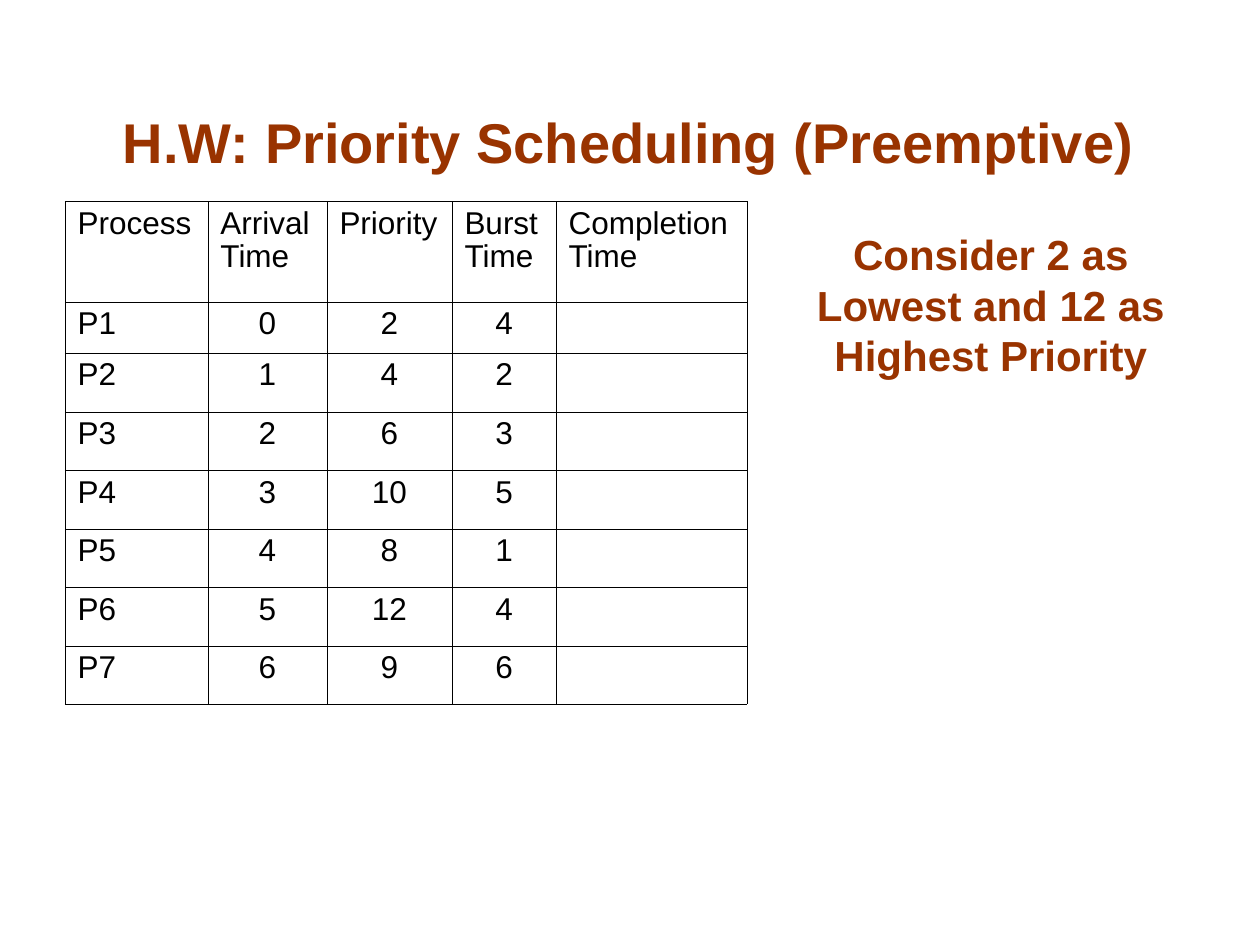
"""Build a homework slide on preemptive priority scheduling."""
from lxml.etree import fromstring
from pptx import Presentation
from pptx.dml.color import RGBColor
from pptx.enum.text import MSO_ANCHOR, PP_ALIGN
from pptx.oxml.ns import nsdecls
from pptx.util import Cm, Pt

RUST = RGBColor(0x99, 0x33, 0x00)
BLACK = RGBColor(0x00, 0x00, 0x00)
FONT = "Arial"

TEXTS = [
    ("H.W: Priority Scheduling (Preemptive)", 32, (1.88, 1.85, 21.59, 1.8)),
    ("Consider 2 as Lowest and 12 as Highest Priority", 24, (15.44, 4.01, 9.07, 3.78)),
]
HEADS = ["Process", "Arrival Time", "Priority", "Burst Time", "Completion Time"]
JOBS = [
    ("P1", 0, 2, 4),
    ("P2", 1, 4, 2),
    ("P3", 2, 6, 3),
    ("P4", 3, 10, 5),
    ("P5", 4, 8, 1),
    ("P6", 5, 12, 4),
    ("P7", 6, 9, 6),
]
LEFT, TOP = 1.31, 4.06
WIDTHS = [2.88, 2.4, 2.52, 2.1, 3.85]
HEIGHTS = [2.03, 1.03] + [1.18] * 6


def style(para, size, color, bold=False):
    font = para.font
    font.name, font.size, font.bold = FONT, Pt(size), bold
    font.color.rgb = color


def add_text(slide, text, size, place):
    frame = slide.shapes.add_textbox(*map(Cm, place)).text_frame
    frame.word_wrap = True
    frame.vertical_anchor = MSO_ANCHOR.BOTTOM
    para = frame.paragraphs[0]
    para.text = text
    para.alignment = PP_ALIGN.CENTER
    style(para, size, RUST, True)


def add_edges(cell):
    props = cell._tc.get_or_add_tcPr()
    for spot, side in enumerate("LRTB"):
        props.insert(spot, fromstring(
            f'<a:ln{side} {nsdecls("a")} w="{Pt(0.11)}"><a:solidFill>'
            f'<a:srgbClr val="{BLACK}"/></a:solidFill></a:ln{side}>'))


def add_grid(slide):
    rows = [HEADS] + [(*job, "") for job in JOBS]
    place = map(Cm, (LEFT, TOP, sum(WIDTHS), sum(HEIGHTS)))
    table = slide.shapes.add_table(len(rows), len(HEADS), *place).table
    table.first_row = table.horz_banding = False
    for col, width in zip(table.columns, WIDTHS):
        col.width = Cm(width)
    for row, height in zip(table.rows, HEIGHTS):
        row.height = Cm(height)
    for r, row in enumerate(rows):
        for c, value in enumerate(row):
            cell = table.cell(r, c)
            cell.fill.background()
            add_edges(cell)
            para = cell.text_frame.paragraphs[0]
            para.text = str(value)
            para.line_spacing = 0.94
            para.alignment = PP_ALIGN.CENTER if r and c else PP_ALIGN.LEFT
            style(para, 18, BLACK)


def main():
    deck = Presentation()
    deck.slide_width, deck.slide_height = Cm(25.4), Cm(19.05)
    slide = deck.slides.add_slide(deck.slide_layouts[6])
    title, note = TEXTS
    add_text(slide, *title)
    add_grid(slide)
    add_text(slide, *note)
    deck.save("out.pptx")


if __name__ == "__main__":
    main()
